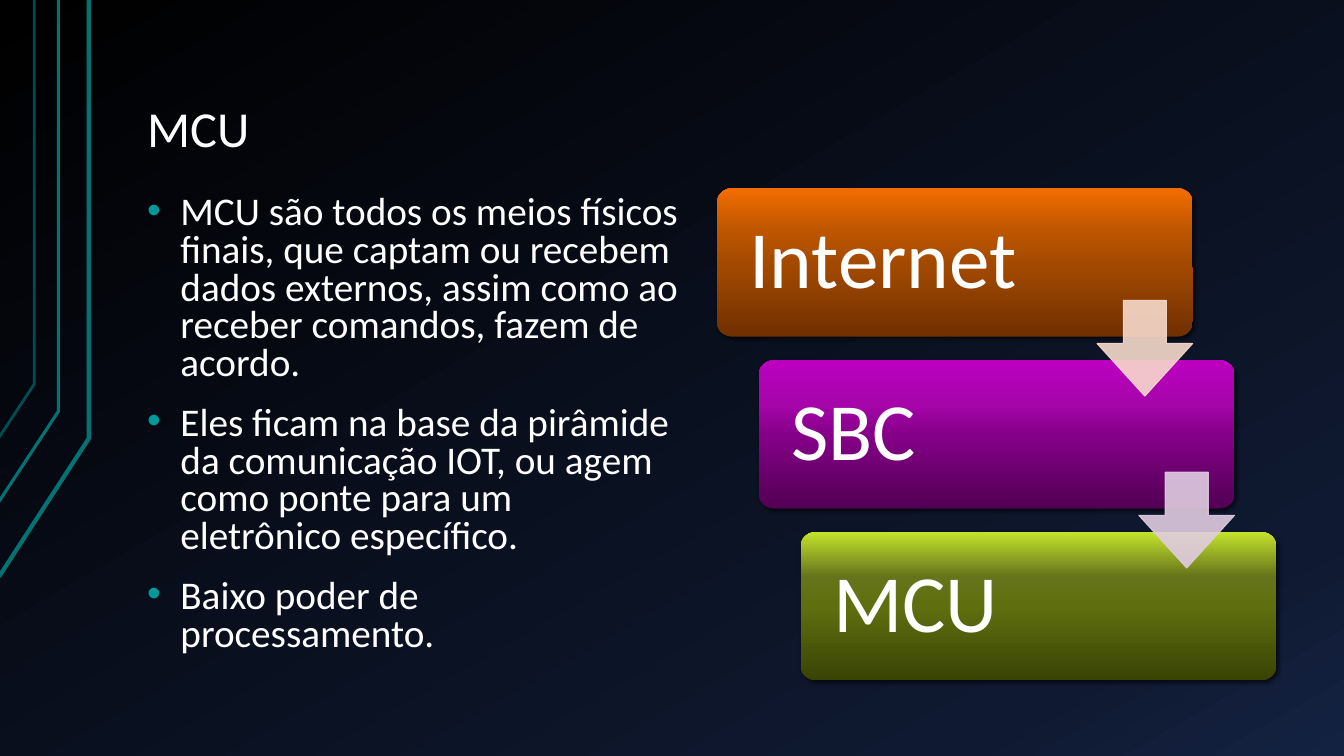
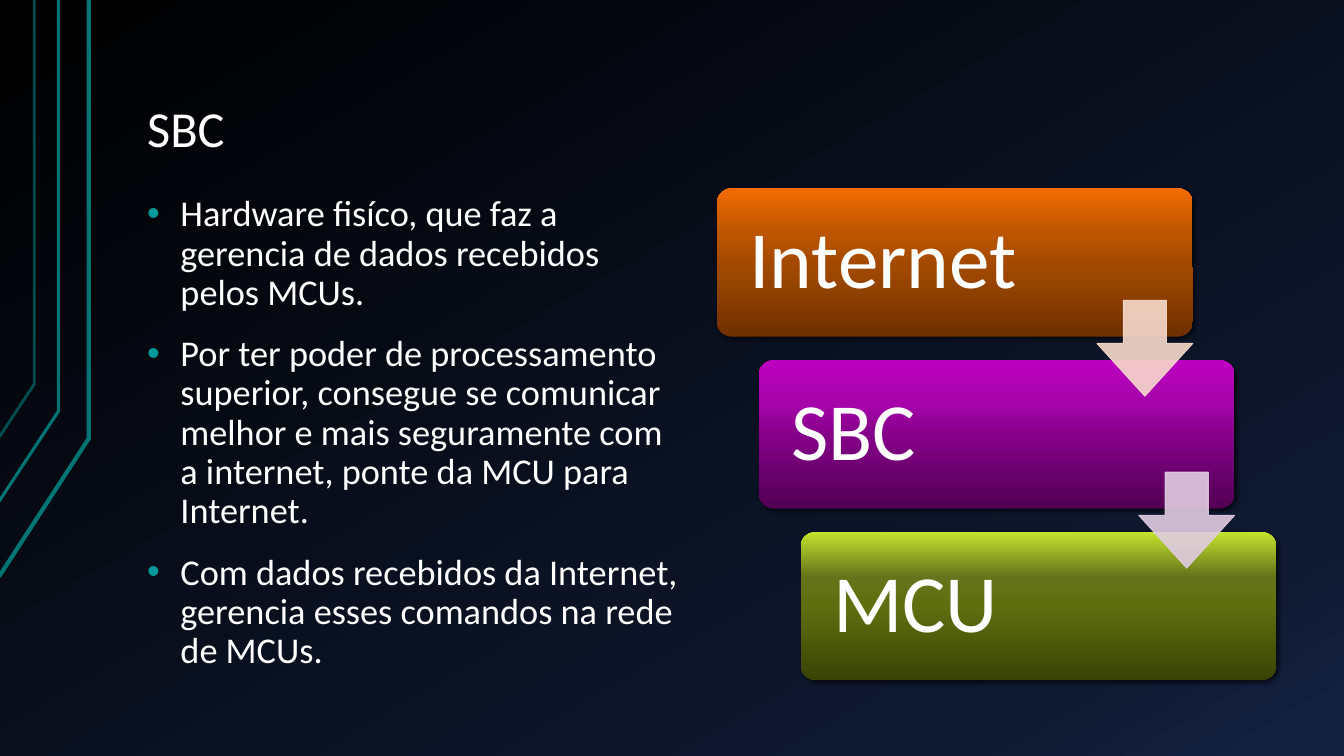
import pptx
import pptx.dml.color
import pptx.enum.shapes
import pptx.enum.text
import pptx.oxml
import pptx.oxml.ns
import pptx.util

Inches = pptx.util.Inches
Pt = pptx.util.Pt
SHAPES = pptx.enum.shapes.MSO_SHAPE
ANCHOR = pptx.enum.text.MSO_ANCHOR

FONT = "Calibri"
WHITE = "FFFFFF"
TEAL = "007373"
BULLET = "009999"
BACKGROUND = [(0, "000000"), (85, "0F1931"), (100, "142242")]
TRACES = [
    ([(-0.01, 5.72), (0.88, 4.35), (0.88, 0)], 3, 100),
    ([(-0.02, 4.99), (0.58, 4.08), (0.58, 0)], 2.25, 100),
    ([(-0.01, 4.34), (0.34, 3.81), (0.34, 0)], 2, 65),
]
STEPS = [
    ("Internet", [(0, "703000"), (50, "A44A00"), (70, "BC5500"), (100, "F26D00")]),
    ("SBC", [(0, "520054"), (50, "850088"), (70, "A505A9"), (100, "BC00C0")]),
    ("MCU", [(0, "394404"), (50, "5F6F0F"), (70, "65741A"), (100, "C4E32D")]),
]
ARROW_COLOURS = ["F7DACC", "E0CCE1"]
STEP_LEFT, STEP_TOP = 7.11, 1.87
STEP_WIDTH, STEP_HEIGHT = 4.72, 1.47
SHIFT_X, SHIFT_Y = 0.415, 1.705
ARROW_SIZE = 0.95

PAGES = [
    ("MCU", 28, 0.8, [
        "MCU são todos os meios físicos finais, que captam ou recebem dados externos, "
        "assim como ao receber comandos, fazem de acordo.",
        "Eles ficam na base da pirâmide da comunicação IOT, ou agem como ponte para um "
        "eletrônico específico.",
        "Baixo poder de processamento.",
    ]),
    ("SBC", 25.9, 0.9, [
        "Hardware fisíco, que faz a gerencia de dados recebidos pelos MCUs.",
        "Por ter poder de processamento superior, consegue se comunicar melhor e mais "
        "seguramente com a internet, ponte da MCU para Internet.",
        "Com dados recebidos da Internet, gerencia esses comandos na rede de MCUs.",
    ]),
]


def colour(value):
    return pptx.dml.color.RGBColor.from_string(value)


def add_xml(parent, markup):
    head, mark, tail = markup.partition(">")
    if head.endswith("/"):
        head, mark = head[:-1], "/>"
    element = pptx.oxml.parse_xml(f"{head} {pptx.oxml.ns.nsdecls('a')}{mark}{tail}")
    parent.append(element)


def paint_gradient(fill, owner, stops, angle):
    fill.gradient()
    fill.gradient_angle = 360 - angle
    stop_list = owner.xpath(".//a:gsLst")[0]
    for stop in list(stop_list):
        stop_list.remove(stop)
    for position, value in stops:
        add_xml(stop_list, f'<a:gs pos="{position * 1000}"><a:srgbClr val="{value}"/></a:gs>')


def set_opacity(shape, percent):
    for element in shape._element.spPr.xpath(".//a:srgbClr"):
        add_xml(element, f'<a:alpha val="{percent * 1000}"/>')


def add_shadow(shape):
    effects = shape._element.spPr.xpath("./a:effectLst")[0]
    add_xml(effects, f'<a:outerShdw blurRad="{Pt(3)}" dist="{Pt(2)}" dir="2700000" rotWithShape="0">'
                     '<a:srgbClr val="000000"><a:alpha val="60000"/></a:srgbClr></a:outerShdw>')


def set_frame(frame, anchor, insets):
    frame.word_wrap = True
    frame.auto_size = pptx.enum.text.MSO_AUTO_SIZE.NONE
    frame.vertical_anchor = anchor
    sides = [Inches(inset) for inset in insets]
    frame.margin_left, frame.margin_top, frame.margin_right, frame.margin_bottom = sides


def write_text(para, text, size, spacing=0.9, before=0, bullet=False):
    span = para.add_run()
    span.text = text
    span.font.name = FONT
    span.font.size = Pt(size)
    span.font.color.rgb = colour(WHITE)
    para.alignment = pptx.enum.text.PP_ALIGN.LEFT
    para.line_spacing = spacing
    para.space_before = Pt(before)
    if bullet:
        properties = para._p.get_or_add_pPr()
        properties.set("marL", str(Inches(0.33)))
        properties.set("indent", str(Inches(-0.33)))
        add_xml(properties, f'<a:buClr><a:srgbClr val="{BULLET}"/></a:buClr>')
        add_xml(properties, '<a:buFont typeface="Arial"/>')
        add_xml(properties, '<a:buChar char="•"/>')


def add_trace(page, points, width, opacity):
    corners = [(Inches(x), Inches(y)) for x, y in points]
    builder = page.shapes.build_freeform(*corners[0])
    builder.add_line_segments(corners[1:], close=False)
    trace = builder.convert_to_shape()
    trace.shadow.inherit = False
    trace.fill.background()
    trace.line.color.rgb = colour(TEAL)
    trace.line.width = Pt(width)
    set_opacity(trace, opacity)


def add_title(page, text):
    title = page.shapes.title
    title.left, title.top = Inches(1.33), Inches(0.3)
    title.width, title.height = Inches(11.33), Inches(1.34)
    set_frame(title.text_frame, ANCHOR.BOTTOM, (0.13, 0.07, 0.13, 0.07))
    write_text(title.text_frame.paragraphs[0], text, 36)


def add_bullets(page, texts, size, spacing):
    box = page.shapes.add_textbox(Inches(1.33), Inches(1.87), Inches(5.55), Inches(4.88))
    frame = box.text_frame
    set_frame(frame, ANCHOR.TOP, (0.13, 0.07, 0.13, 0.07))
    for index, text in enumerate(texts):
        para = frame.add_paragraph() if index else frame.paragraphs[0]
        write_text(para, text, size, spacing=spacing, before=16, bullet=True)


def add_step(page, index, text, stops):
    box = page.shapes.add_shape(
        SHAPES.ROUNDED_RECTANGLE,
        Inches(STEP_LEFT + index * SHIFT_X), Inches(STEP_TOP + index * SHIFT_Y),
        Inches(STEP_WIDTH), Inches(STEP_HEIGHT))
    box.adjustments[0] = 0.1
    box.shadow.inherit = False
    paint_gradient(box.fill, box._element, stops, 270)
    box.line.fill.background()
    add_shadow(box)
    set_frame(box.text_frame, ANCHOR.MIDDLE, (0.28, 0.24, 0.24, 0.24))
    write_text(box.text_frame.paragraphs[0], text, 58)


def add_step_arrow(page, index, value):
    arrow = page.shapes.add_shape(
        SHAPES.DOWN_ARROW,
        Inches(STEP_LEFT + STEP_WIDTH - ARROW_SIZE + index * SHIFT_X),
        Inches(2.98 + index * SHIFT_Y), Inches(ARROW_SIZE), Inches(ARROW_SIZE))
    arrow.adjustments[0] = 0.45
    arrow.adjustments[1] = 0.55
    arrow.shadow.inherit = False
    arrow.fill.solid()
    arrow.fill.fore_color.rgb = colour(value)
    arrow.line.color.rgb = colour(value)
    arrow.line.width = Pt(0.75)
    set_opacity(arrow, 90)


def add_page(deck, title, size, spacing, texts):
    page = deck.slides.add_slide(deck.slide_layouts[5])
    for points, width, opacity in TRACES:
        add_trace(page, points, width, opacity)
    add_title(page, title)
    add_bullets(page, texts, size, spacing)
    for index, (text, stops) in enumerate(STEPS):
        add_step(page, index, text, stops)
    for index, value in enumerate(ARROW_COLOURS):
        add_step_arrow(page, index, value)


def main():
    deck = pptx.Presentation()
    deck.slide_width, deck.slide_height = Inches(13.33), Inches(7.5)
    master = deck.slide_master
    paint_gradient(master.background.fill, master.element, BACKGROUND, 60)
    for content in PAGES:
        add_page(deck, *content)
    deck.save("out.pptx")


if __name__ == "__main__":
    main()
